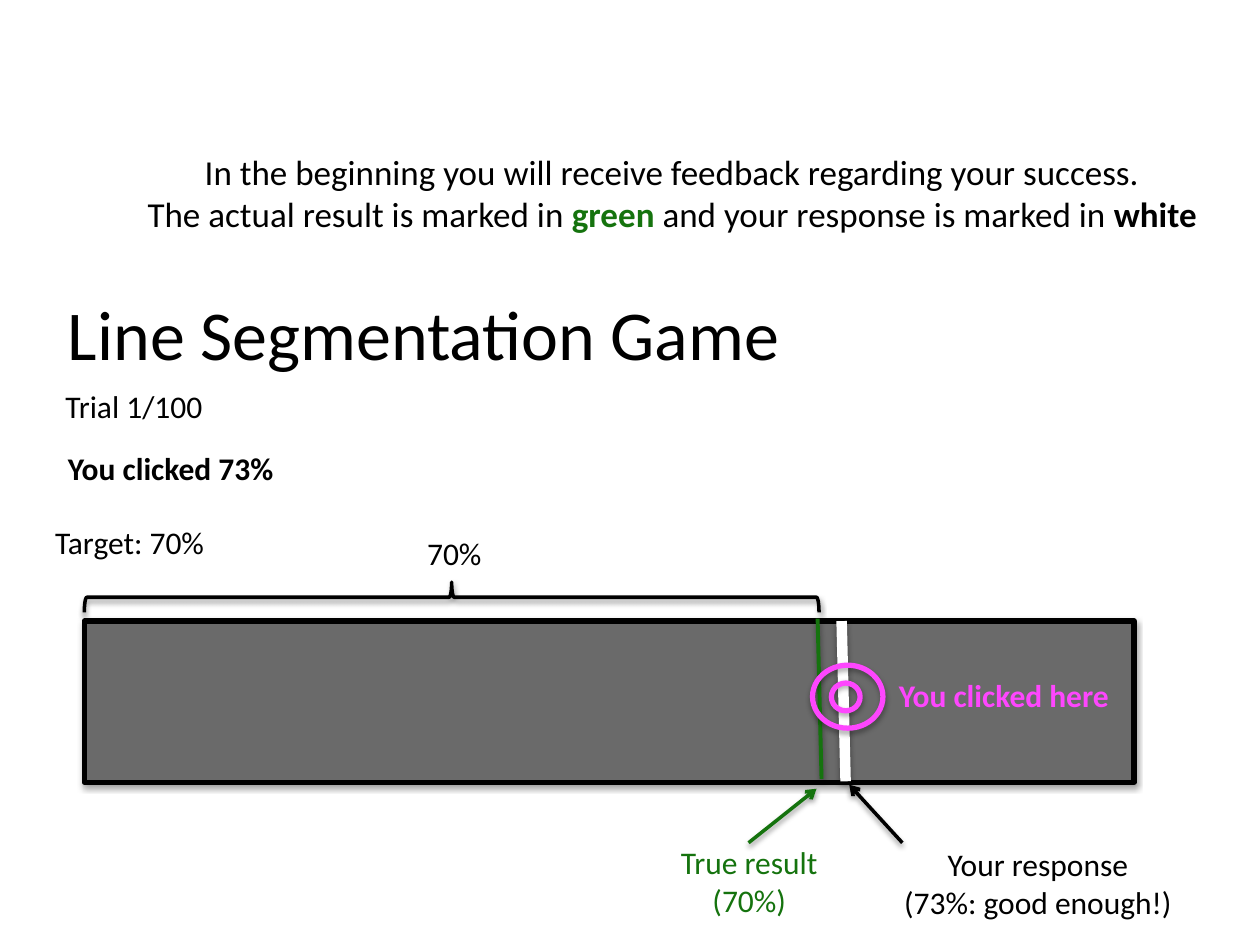
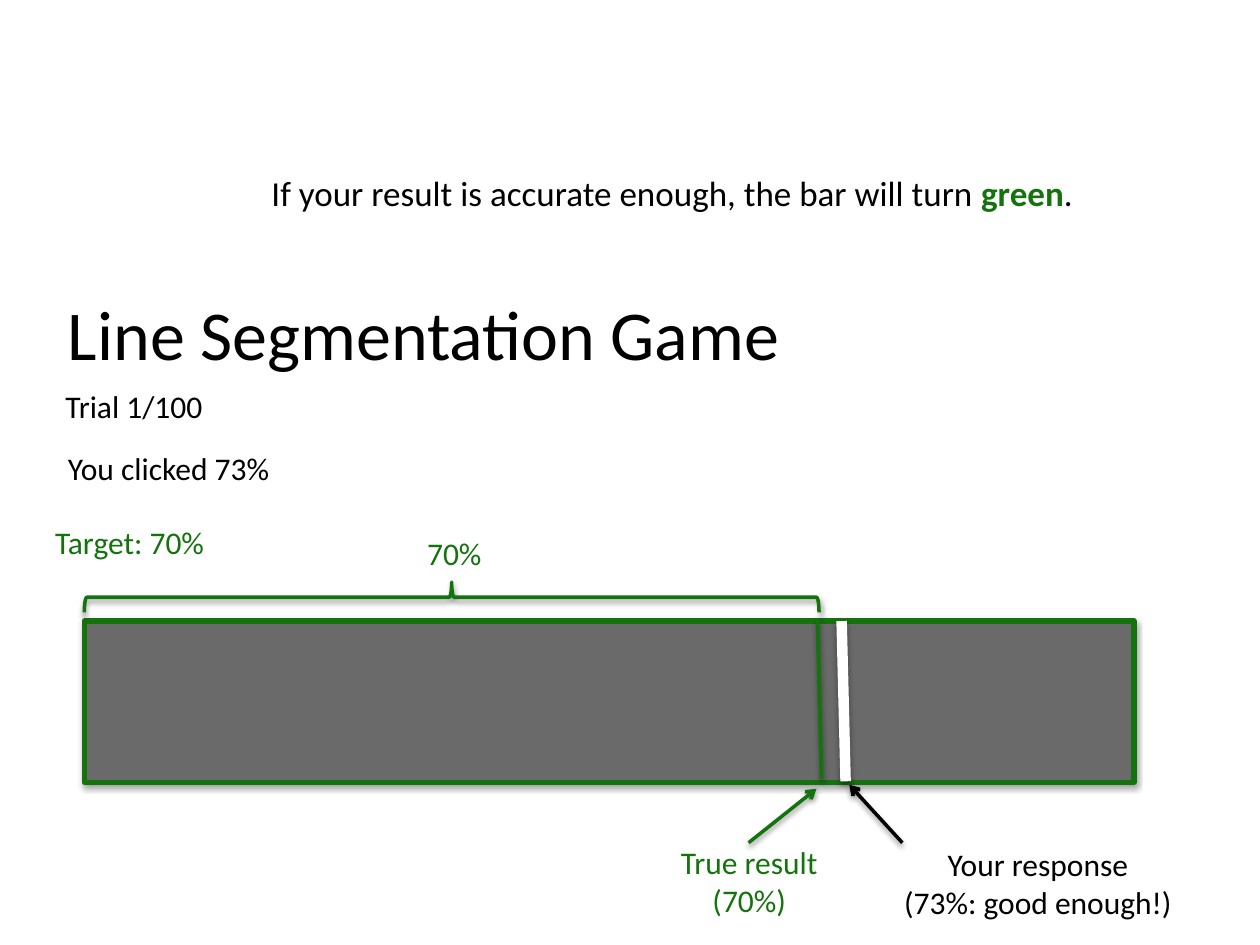
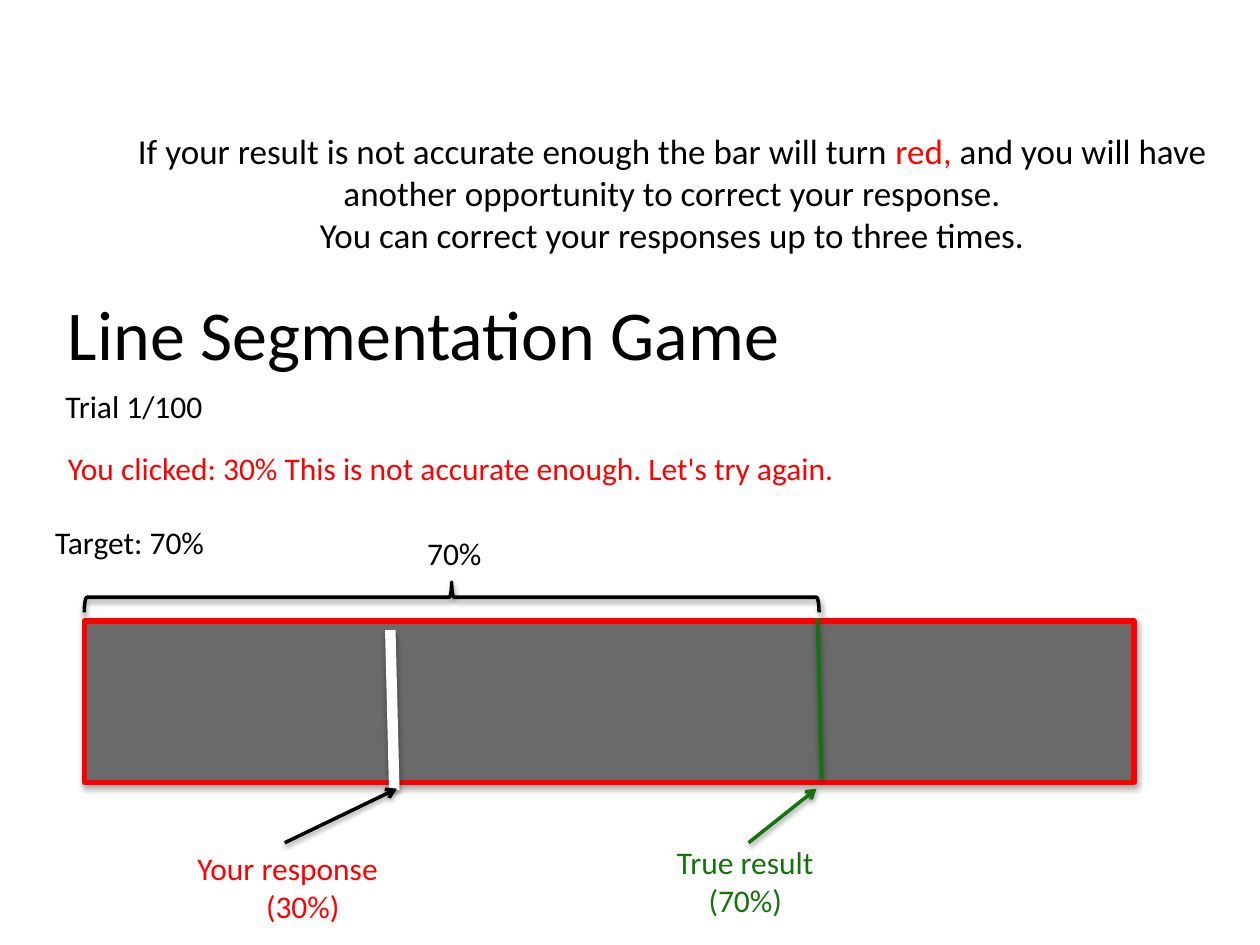
"""Builds three slides on the feedback given in a line segmentation game."""
from dataclasses import dataclass

from lxml.etree import SubElement
from pptx import Presentation
from pptx.dml.color import RGBColor as Rgb
from pptx.enum.shapes import MSO_CONNECTOR as Link, MSO_SHAPE as Kind
from pptx.enum.text import MSO_ANCHOR as Anchor, PP_ALIGN as Align
from pptx.oxml import parse_xml
from pptx.oxml.ns import nsdecls, qn
from pptx.util import Cm, Pt


@dataclass(frozen=True)
class Theme:
    font: str = "Calibri"
    black: str = "000000"
    white: str = "FFFFFF"
    green: str = "15730E"
    red: str = "FF0000"
    pink: str = "FE46FE"
    grey: str = "6A6A6A"
    head: int = 40
    lead: int = 20
    body: int = 18


T = Theme()
MID, LEFT = Align.CENTER, Align.LEFT

GOOD = dict(text=["Your response", "(73%: good enough!)"], box=(17.09, 16.92, 7.67, 1.8),
            share=0.73, top=12.52, arrow=(18.19, 16.99, 17.12, 15.82),
            color=T.black, align=(MID, MID))
POOR = dict(text=["Your response", "(30%)"], box=(3.73, 16.99, 4.75, 1.8),
            share=0.3, top=12.7, arrow=(5.74, 16.99, 8, 15.9),
            color=T.red, align=(LEFT, MID))

SLIDES = [
    dict(lead=[("In the beginning you will receive feedback regarding your success.\n"
                "The actual result is marked in ",),
               ("green", T.green, True),
               (" and your response is marked in ",),
               ("white", T.black, True)],
         click=("You clicked 73%", T.black, True),
         goal=T.black, edge=T.black, reply=GOOD, true=12.73, here="You clicked here"),
    dict(lead=[("If your result is accurate enough, the bar will turn ",),
               ("green", T.green, True), (".",)],
         click=("You clicked 73%", T.black, False),
         goal=T.green, edge=T.green, reply=GOOD, true=12.73, here=None),
    dict(lead=[("If your result is not accurate enough the bar will turn ",),
               ("red,", T.red),
               (" and you will have another opportunity to correct your response.\n"
                "You can correct your responses up to three times.",)],
         click=("You clicked: 30% This is not accurate enough. Let's try again.", T.red, False),
         goal=T.black, edge=T.red, reply=POOR, true=12.65, here=None),
]

BAR = (1.7, 12.52, 21.16, 3.25)
TARGET = 0.7
RINGS = [(16.76, 13.77, 0.58, 0.56), (16.38, 13.41, 1.42, 1.27)]


def spot(share):
    return BAR[0] + share * BAR[2]


def shade(item, alpha):
    item._element.spPr.append(parse_xml(
        f'<a:effectLst {nsdecls("a")}><a:outerShdw blurRad="40000" dist="22000" dir="5400000" '
        f'rotWithShape="0"><a:srgbClr val="{T.black}"><a:alpha val="{alpha}000"/>'
        '</a:srgbClr></a:outerShdw></a:effectLst>'))


def text(slide, paras, box, color=T.black, size=T.body, bold=False, align=(LEFT,), frame=None):
    if frame is None:
        frame = slide.shapes.add_textbox(*map(Cm, box)).text_frame
    frame.word_wrap = True
    for i, para in enumerate(paras):
        line = frame.add_paragraph() if i else frame.paragraphs[0]
        line.alignment = align[i % len(align)]
        for words, *style in [(para,)] if isinstance(para, str) else para:
            tint, heavy = (style + [color, bold][len(style):])
            for j, part in enumerate(words.split("\n")):
                if j:
                    line.add_line_break()
                run = line.add_run()
                run.text = part
                font = run.font
                font.name, font.size, font.bold = T.font, Pt(size), heavy
                font.color.rgb = Rgb.from_string(tint)


def shape(slide, kind, box, edge, width=3, fill=None, alpha=35):
    item = slide.shapes.add_shape(kind, *map(Cm, box))
    item.shadow.inherit = False
    item._element.spPr.remove(item._element.spPr.find(qn("a:effectLst")))
    if fill:
        item.fill.solid()
        item.fill.fore_color.rgb = Rgb.from_string(fill)
    else:
        item.fill.background()
    item.line.color.rgb = Rgb.from_string(edge)
    item.line.width = Pt(width)
    shade(item, alpha)
    return item


def line(slide, ends, color, width=2, arrow=False):
    item = slide.shapes.add_connector(Link.STRAIGHT, *map(Cm, ends))
    item.line.color.rgb = Rgb.from_string(color)
    item.line.width = Pt(width)
    if arrow:
        SubElement(item.line._get_or_add_ln(), qn("a:tailEnd"), type="arrow")
    shade(item, 38)


def mark(slide, left, top, color, width):
    line(slide, (left, top, left + 0.08, top + 3.23), color, width)


def brace(slide, color):
    span, deep = TARGET * BAR[2], 0.61
    mid = BAR[0] + span / 2
    item = shape(slide, Kind.RIGHT_BRACE, (mid - deep / 2, 12.04 - span / 2, deep, span),
                 color, 2, alpha=38)
    item.rotation = 270


def build(deck, data):
    slide = deck.slides.add_slide(deck.slide_layouts[5])
    title = slide.shapes.title
    title.left, title.top, title.width, title.height = map(Cm, (1.7, 1.83, 23.7, 4.09))
    title.text_frame.vertical_anchor = Anchor.MIDDLE
    text(slide, [data["lead"]], None, size=T.lead, align=(MID,), frame=title.text_frame)

    goal, reply = data["goal"], data["reply"]
    shape(slide, Kind.RECTANGLE, BAR, data["edge"], fill=T.grey)
    text(slide, ["Line Segmentation Game"], (1.12, 5.74, 15.98, 1.96), size=T.head)
    text(slide, ["Trial 1/100"], (1.07, 7.67, 4.14, 1.02))
    text(slide, [[data["click"]]], (1.12, 8.92, 17.07, 1.02))
    text(slide, ["Target: 70%"], (0.86, 10.41, 17.07, 1.02), color=goal)
    text(slide, ["70%"], (8.36, 10.64, 5.08, 1.02), color=goal)
    brace(slide, goal)

    mark(slide, spot(reply["share"]) - 0.18, reply["top"], T.white, 6)
    mark(slide, spot(TARGET) - 0.03, 12.47, T.green, 2.25)
    text(slide, ["True result", "(70%)"], (data["true"], 16.87, 4.75, 1.8),
         color=T.green, align=(MID,))
    text(slide, reply["text"], reply["box"], color=reply["color"], align=reply["align"])
    line(slide, reply["arrow"], T.black, arrow=True)
    line(slide, (15.09, 16.99, 16.46, 15.9), T.green, arrow=True)

    if data["here"]:
        for ring in RINGS:
            shape(slide, Kind.OVAL, ring, T.pink)
        text(slide, [data["here"]], (17.87, 13.51, 6.6, 1.02), color=T.pink, bold=True)


def main():
    deck = Presentation()
    deck.slide_width, deck.slide_height = Cm(25.4), Cm(19.05)
    for data in SLIDES:
        build(deck, data)
    deck.save("out.pptx")


if __name__ == "__main__":
    main()
